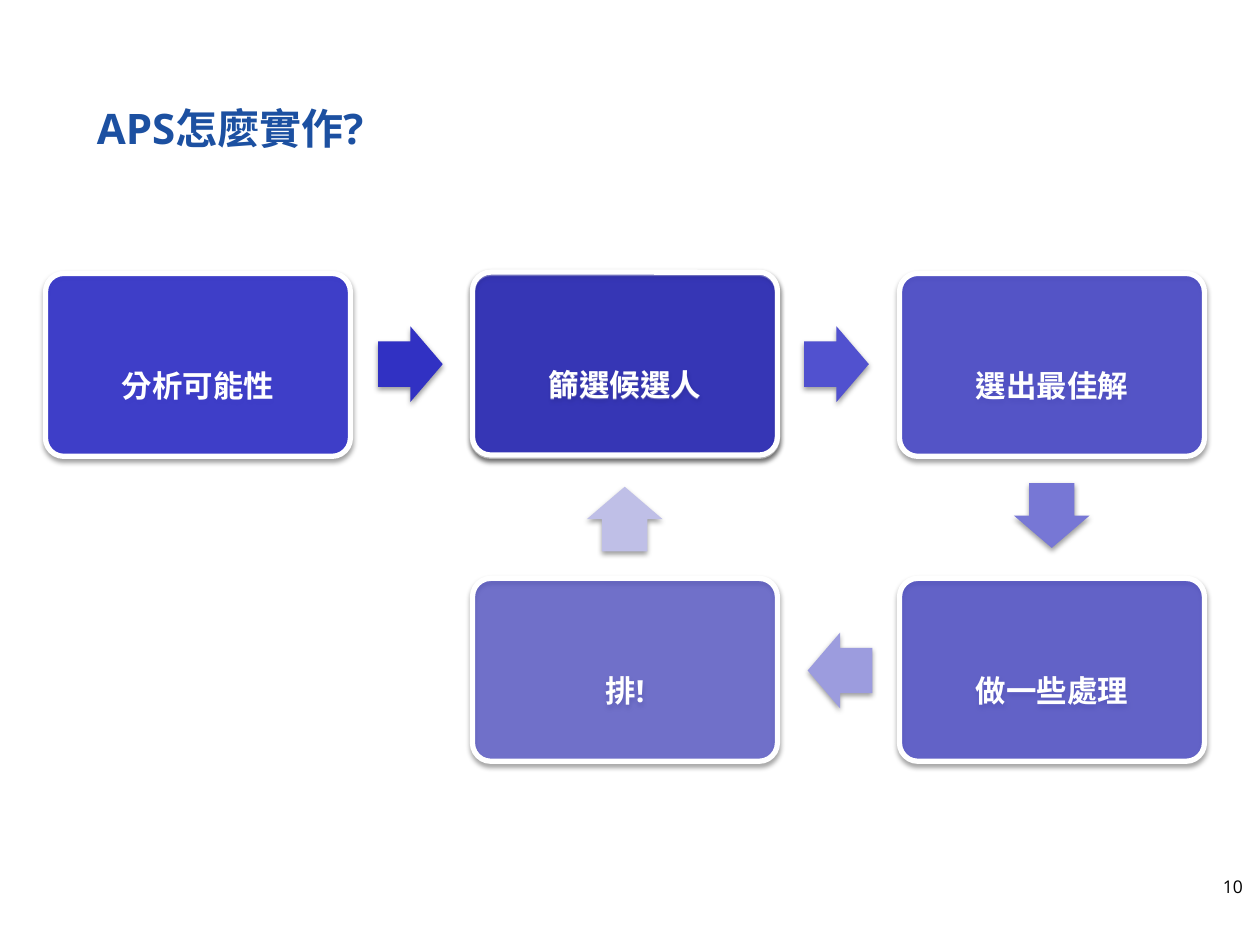
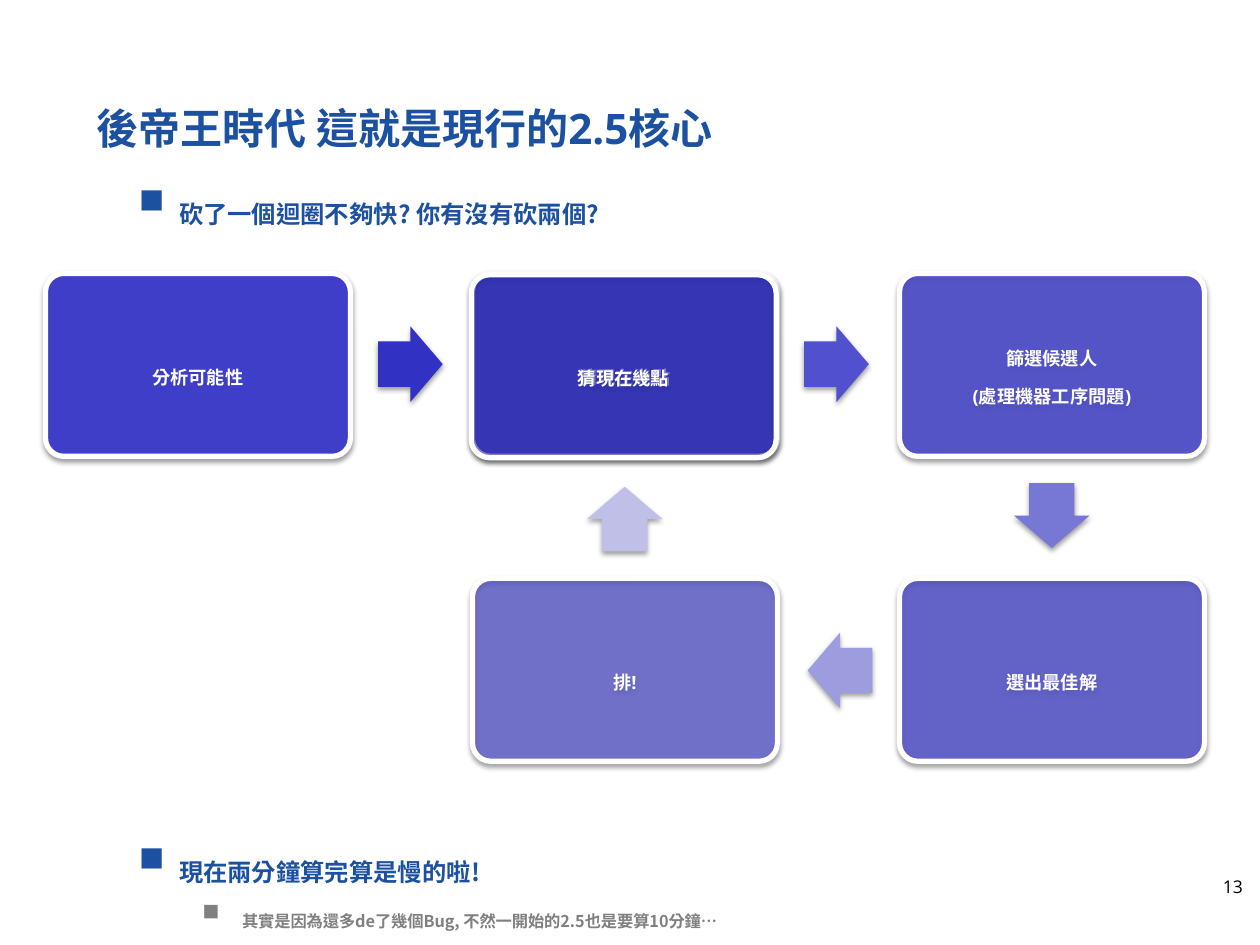
import pptx
import pptx.util
import pptx.dml.color
import pptx.enum.text
import pptx.enum.shapes
import pptx.oxml
import pptx.oxml.ns

Pt = pptx.util.Pt
Shape = pptx.enum.shapes.MSO_SHAPE
Align = pptx.enum.text.PP_ALIGN
Anchor = pptx.enum.text.MSO_ANCHOR
qn = pptx.oxml.ns.qn
NS = pptx.oxml.ns.nsdecls("a")


def tint(hue):
    return pptx.dml.color.RGBColor.from_string(hue)


class Deck:
    blue, grey, white, black = "1C50A1", "808080", "FFFFFF", "000000"
    base = "3333CC"
    sans, cjk = "Open Sans", "Noto Sans CJK SC"
    lefts = [26, 270, 514]
    tops = [156.25, 330.5]
    wide, high = 174.25, 104.5

    def __init__(self):
        self.file = pptx.Presentation()
        self.file.slide_width = Pt(720)
        self.file.slide_height = Pt(540)
        self.slide = None

    def page(self, title, number):
        self.slide = self.file.slides.add_slide(self.file.slide_layouts[6])
        frame = self.text(48.25, 47.5, 617.75, 51)
        frame.vertical_anchor = Anchor.MIDDLE
        self.run(frame.paragraphs[0], title, 24, self.blue, bold=True)
        frame = self.text(567.5, 496.8, 149.75, 36)
        frame.paragraphs[0].alignment = Align.RIGHT
        self.run(frame.paragraphs[0], number, 10, self.black)

    def text(self, x, y, w, h):
        box = self.slide.shapes.add_textbox(Pt(x), Pt(y), Pt(w), Pt(h))
        box.text_frame.word_wrap = True
        return box.text_frame

    def run(self, para, words, size, hue, face=None, bold=False, low=False):
        run = para.add_run()
        run.text = words
        font = run.font
        font.name = face or self.sans
        font.size = Pt(size)
        font.bold = bold
        font.color.rgb = tint(hue)
        prop = run._r.get_or_add_rPr()
        prop.set("lang", "zh-TW")
        if low:
            prop.set("baseline", "-25000")

    def block(self, kind, x, y, w, h, hue, adjust):
        item = self.slide.shapes.add_shape(kind, Pt(x), Pt(y), Pt(w), Pt(h))
        for i, part in enumerate(adjust):
            item.adjustments[i] = part
        item.fill.solid()
        item.fill.fore_color.rgb = tint(hue)
        item.line.fill.background()
        item.shadow.inherit = False
        glow = item._element.spPr.find(qn("a:effectLst"))
        glow.append(pptx.oxml.parse_xml(
            f'<a:outerShdw {NS} blurRad="{Pt(3.1)}" dist="{Pt(1.6)}" '
            f'dir="5400000" rotWithShape="0"><a:srgbClr val="{self.black}">'
            '<a:alpha val="38000"/></a:srgbClr></a:outerShdw>'))
        return item

    def card(self, col, row, lines, alpha, size, inset, shift=(0, 0)):
        x, y = self.lefts[col] + shift[0], self.tops[row] + shift[1]
        item = self.block(Shape.ROUNDED_RECTANGLE, x, y, self.wide,
                          self.high, self.base, [0.1])
        shade = item._element.spPr.find(qn("a:solidFill"))[0]
        shade.append(pptx.oxml.parse_xml(
            f'<a:alpha {NS} val="{alpha * 1000}"/>'))
        item.line.color.rgb = tint(self.white)
        item.line.width = Pt(3)
        frame = item.text_frame
        frame.word_wrap = True
        frame.vertical_anchor = Anchor.MIDDLE
        frame.margin_left = frame.margin_right = Pt(inset)
        frame.margin_top = frame.margin_bottom = Pt(inset)
        para = frame.paragraphs[0]
        para.alignment = Align.CENTER
        para.line_spacing = 0.9
        para.space_after = Pt(size * 0.35)
        for i, line in enumerate(lines):
            if i:
                para.add_line_break()
            self.run(para, line, size, self.white, bold=True, low=True)

    def arrow(self, x, y, turn, hue):
        item = self.block(Shape.RIGHT_ARROW, x, y, 37, 43.25, hue, [0.6, 0.5])
        item.rotation = turn

    def cycle(self, steps, size, inset, shift):
        cells = [(0, 0), (1, 0), (2, 0), (2, 1), (1, 1)]
        for i, (cell, lines) in enumerate(zip(cells, steps)):
            self.card(*cell, lines, 90 - 8 * i, size, inset)
        for spot in [(216, 186.5, 0, "3131C3"), (459.5, 186.5, 0, "5151CF"),
                     (582.5, 273, 90, "7777D5"), (461.5, 361.5, 180, "9C9CDE"),
                     (338.5, 275, 270, "BFBFE7")]:
            self.arrow(*spot)
        self.card(1, 0, steps[1], 50, size, inset, shift)

    def points(self, y, h, items):
        frame = self.text(36.75, y, 652.25, h)
        for i, (words, level) in enumerate(items):
            para = frame.add_paragraph() if i else frame.paragraphs[0]
            size, hue = [(24, self.blue), (16, self.grey)][level - 1]
            para.level = level
            para.space_before = Pt(size * 0.2)
            prop = para._p.get_or_add_pPr()
            prop.set("marL", str(Pt(22.5 + 36 * level)))
            prop.set("indent", str(Pt(-22.5)))
            for mark in ['buSzPct {} val="60000"',
                         f'buFont {{}} typeface="{self.cjk}"',
                         'buChar {} char="■"']:
                prop.append(pptx.oxml.parse_xml(f"<a:{mark.format(NS)}/>"))
            self.run(para, words, size, hue, self.cjk, True, True)


deck = Deck()

deck.page("APS怎麼實作?", "10")
deck.cycle([["分析可能性"], ["篩選候選人"], ["選出最佳解"],
            ["做一些處理"], ["排!"]], 30, 8.5, (0, -0.75))

deck.page("後帝王時代 這就是現行的2.5核心", "13")
deck.cycle([["分析可能性"], ["猜現在幾點"], ["篩選候選人", "(處理機器工序問題)"],
            ["選出最佳解"], ["排!"]], 18, 5, (-0.75, 0.75))
deck.points(94.25, 44, [("砍了一個迴圈不夠快? 你有沒有砍兩個?", 1)])
deck.points(470.25, 68, [
    ("現在兩分鐘算完算是慢的啦!", 1),
    ("其實是因為還多de了幾個Bug, 不然一開始的2.5也是要算10分鐘…", 2)])

deck.file.save("out.pptx")
